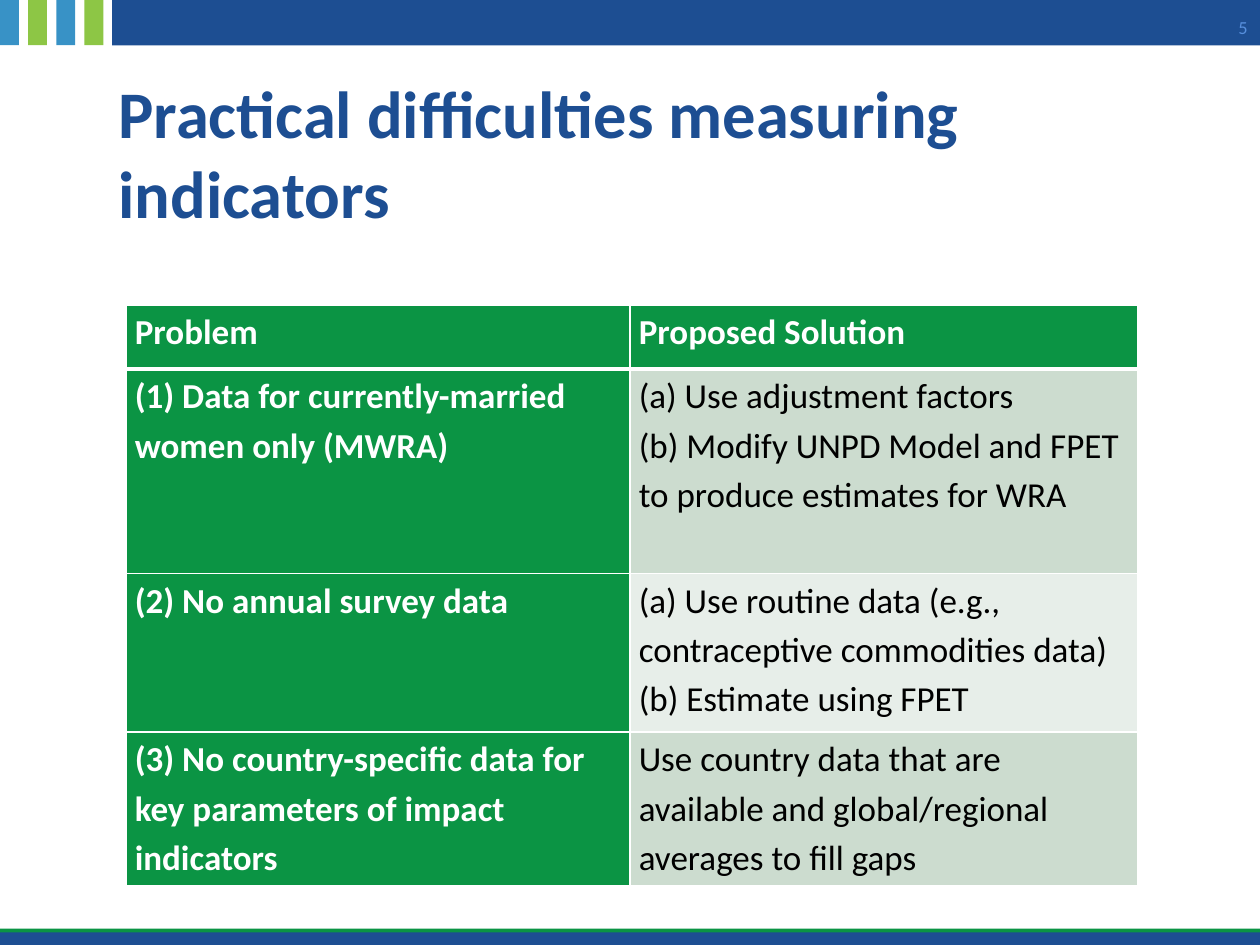
from lxml import etree
from pptx import Presentation
from pptx import util as u
from pptx.dml.color import RGBColor
from pptx.enum import shapes, text
from pptx.oxml import ns

COLORS = {
    "blue": "1D4E92", "sky": "3892C6", "lime": "8DC645", "green": "0B9444",
    "pale": "E7EEE9", "sage": "CCDCCF", "number": "5790DE",
    "white": "FFFFFF", "black": "000000",
}
ROWS = [
    ("Problem", ["Proposed Solution"]),
    ("(1) Data for currently-married women only (MWRA)",
     ["(a) Use adjustment factors",
      "(b) Modify UNPD Model and FPET to produce estimates for WRA"]),
    ("(2) No annual survey data",
     ["(a) Use routine data (e.g., contraceptive commodities data)",
      "(b) Estimate using FPET"]),
    ("(3) No country-specific data for key parameters of impact indicators",
     ["Use country data that are available and global/regional averages to fill gaps"]),
]
COLUMN_WIDTHS = [4, 4.03]
ROW_HEIGHTS = [0.51, 1.62, 1.26, 1.22]


def rgb(name):
    """Return the named colour."""
    return RGBColor.from_string(COLORS[name])


def box(left, top, width, height):
    """Return a position and size given in inches."""
    return [u.Inches(value) for value in (left, top, width, height)]


class SlideBuilder:
    """Holds the text style and the current slide."""

    font = "Calibri"

    def __init__(self, slide):
        """Keep the slide to draw on."""
        self.slide = slide

    def add_lines(self, frame, lines, size, color, bold=False, **paragraph_format):
        """Fill a text frame with one paragraph per line."""
        for index, line in enumerate(lines):
            paragraph = frame.add_paragraph() if index else frame.paragraphs[0]
            for name, value in paragraph_format.items():
                setattr(paragraph, name, value)
            run = paragraph.add_run()
            run.text = line
            style = {"name": self.font, "size": u.Pt(size), "bold": bold}
            for name, value in style.items():
                setattr(run.font, name, value)
            run.font.color.rgb = rgb(color)

    def bar(self, left, top, width, height, color):
        """Draw a plain rectangle."""
        shape = self.slide.shapes.add_shape(
            shapes.MSO_SHAPE.RECTANGLE, *box(left, top, width, height))
        shape.shadow.inherit = False
        shape.fill.solid()
        shape.fill.fore_color.rgb = rgb(color)
        shape.line.fill.background()

    def title(self, line, left, top, width, height):
        """Place and fill the title placeholder."""
        shape = self.slide.shapes.title
        names = ("left", "top", "width", "height")
        for name, value in zip(names, box(left, top, width, height)):
            setattr(shape, name, value)
        frame_format = {
            "margin_left": 0, "margin_right": 0, "margin_top": 0, "margin_bottom": 0,
            "vertical_anchor": text.MSO_ANCHOR.BOTTOM, "word_wrap": True,
            "auto_size": text.MSO_AUTO_SIZE.NONE,
        }
        for name, value in frame_format.items():
            setattr(shape.text_frame, name, value)
        self.add_lines(shape.text_frame, [line], 38, "blue", True,
                       alignment=text.PP_ALIGN.LEFT)

    def page_number(self, number, left, top, width, height):
        """Add the right-aligned page number."""
        frame = self.slide.shapes.add_textbox(*box(left, top, width, height)).text_frame
        frame.word_wrap = True
        frame.vertical_anchor = text.MSO_ANCHOR.MIDDLE
        self.add_lines(frame, [number], 10.5, "number", alignment=text.PP_ALIGN.RIGHT)

    def borders(self, cell, top, bottom):
        """Draw white cell borders, with top and bottom widths in points."""
        properties = cell._tc.get_or_add_tcPr()
        widths = {"a:lnL": 1, "a:lnR": 1, "a:lnT": top, "a:lnB": bottom}
        for index, (tag, width) in enumerate(widths.items()):
            line = etree.Element(ns.qn(tag), w=str(u.Pt(width)))
            fill = etree.SubElement(line, ns.qn("a:solidFill"))
            etree.SubElement(fill, ns.qn("a:srgbClr"), val=COLORS["white"])
            properties.insert(index, line)

    def cell(self, cell, lines, fill, color, bold):
        """Fill one table cell with colour and text."""
        margins = {"margin_left": 0.07, "margin_right": 0.07,
                   "margin_top": 0, "margin_bottom": 0}
        for name, value in margins.items():
            setattr(cell, name, u.Inches(value))
        cell.fill.solid()
        cell.fill.fore_color.rgb = rgb(fill)
        self.add_lines(cell.text_frame, lines, 20, color, bold, line_spacing=1.15)

    def table(self, left, top):
        """Add the table of problems and solutions."""
        table = self.slide.shapes.add_table(
            len(ROWS), len(COLUMN_WIDTHS),
            *box(left, top, sum(COLUMN_WIDTHS), sum(ROW_HEIGHTS))).table
        for column, width in zip(table.columns, COLUMN_WIDTHS):
            column.width = u.Inches(width)
        for index, (problem, solutions) in enumerate(ROWS):
            table.rows[index].height = u.Inches(ROW_HEIGHTS[index])
            band = "sage" if index % 2 else "pale"
            solution_style = (band, "black", False) if index else ("green", "white", True)
            self.cell(table.cell(index, 0), [problem], "green", "white", True)
            self.cell(table.cell(index, 1), solutions, *solution_style)
            for cell in table.rows[index].cells:
                self.borders(cell, 3 if index == 1 else 1, 1 if index else 3)


def main():
    """Build and save the slide."""
    presentation = Presentation()
    presentation.slide_width, presentation.slide_height = u.Inches(10), u.Inches(7.5)
    builder = SlideBuilder(presentation.slides.add_slide(presentation.slide_layouts[5]))

    for index, color in enumerate(["sky", "lime"] * 2):
        builder.bar(index * 0.67 / 3, 0, 0.15, 0.36, color)
    builder.bar(0.89, -0.01, 9.11, 0.37, "blue")
    builder.bar(-0.07, 7.37, 10.07, 0.05, "green")
    builder.bar(0, 7.4, 10, 0.1, "blue")

    builder.table(1, 2.42)
    builder.title("Practical difficulties measuring indicators", 0.94, 0.3, 8.06, 1.54)
    builder.page_number("5", 8.85, 0.08, 1.15, 0.27)
    presentation.save("out.pptx")


main()
